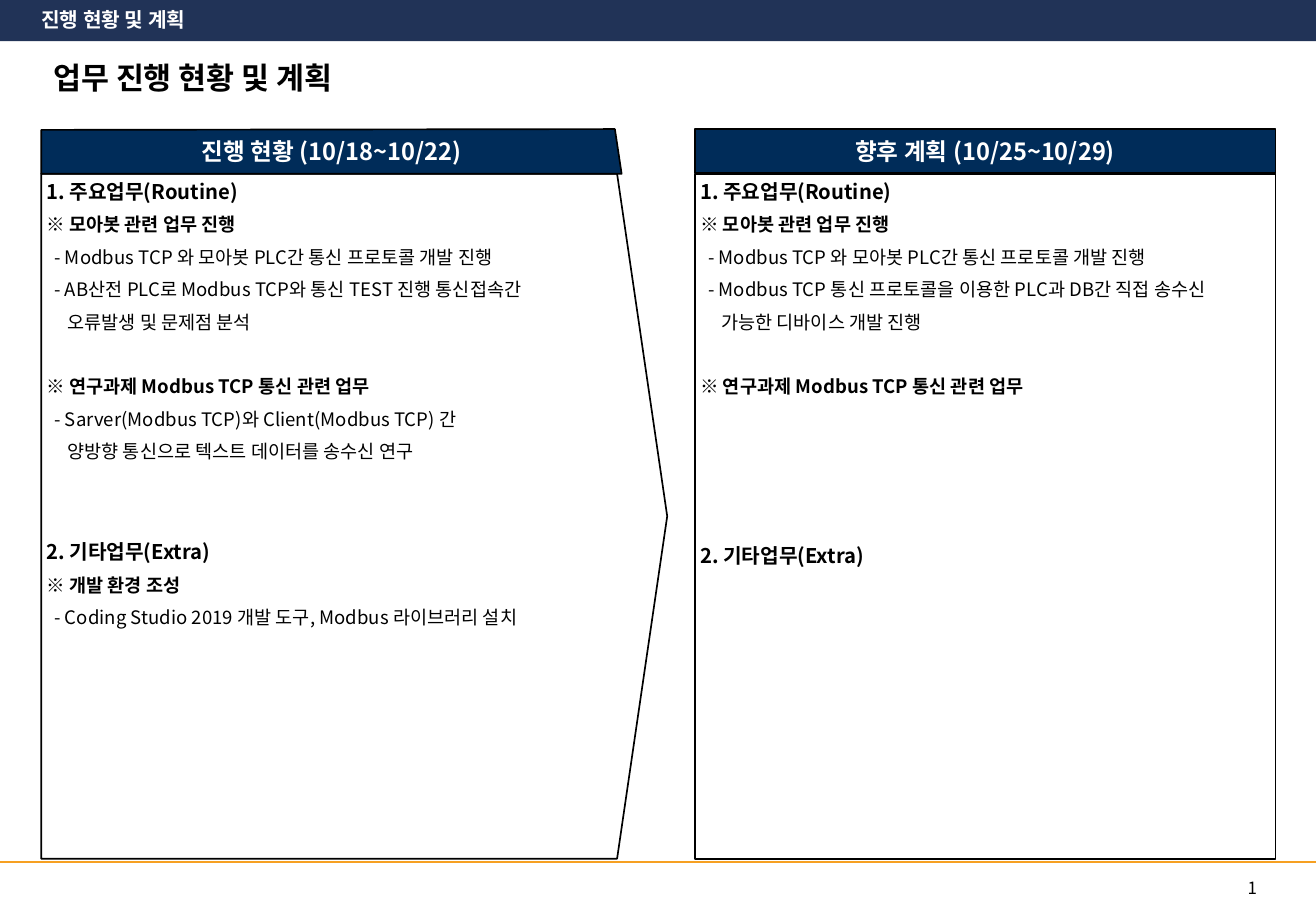
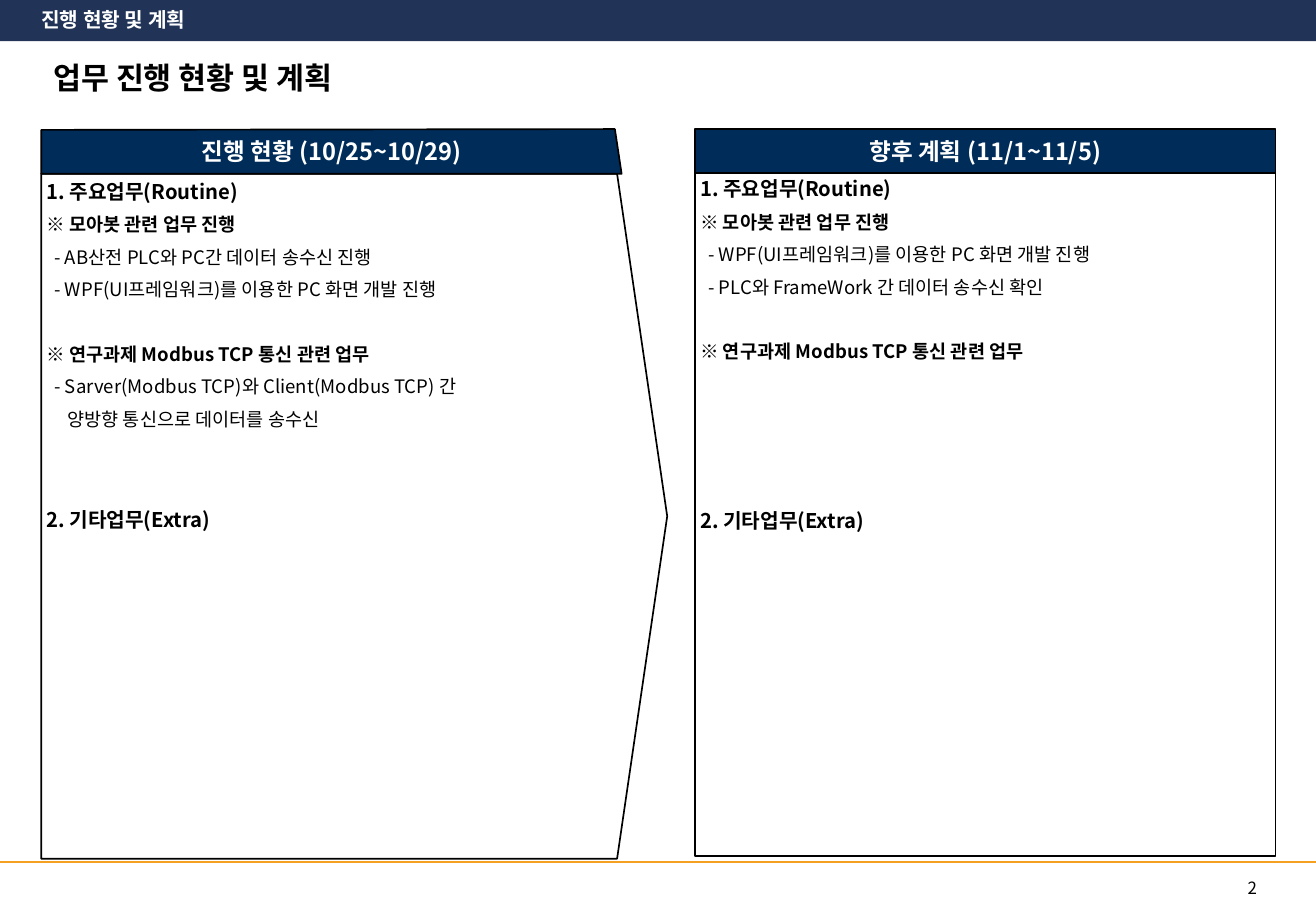
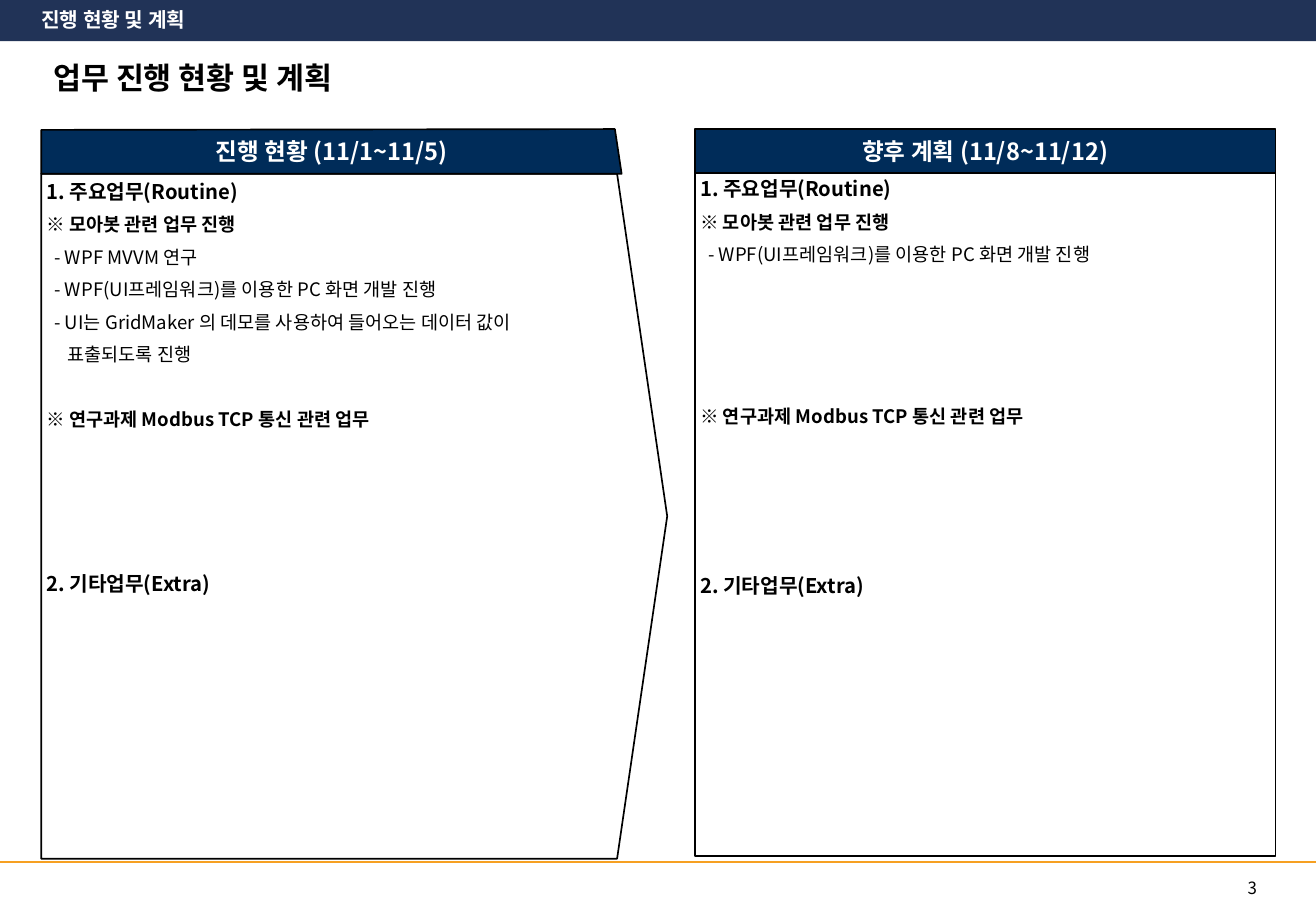
"""Weekly progress and plan slides: one page per week, done on the left, planned on the right."""
import dataclasses

import pptx
import pptx.dml.color
import pptx.enum.shapes
import pptx.enum.text
import pptx.oxml.ns
import pptx.util
from lxml import etree

Pt = pptx.util.Pt
SHAPE = pptx.enum.shapes.MSO_SHAPE
ALIGN = pptx.enum.text.PP_ALIGN
ANCHOR = pptx.enum.text.MSO_ANCHOR
qn = pptx.oxml.ns.qn


@dataclasses.dataclass(frozen=True)
class Theme:
    font: str = "Noto Sans CJK KR"
    band: str = "213357"
    header: str = "002C59"
    rule: str = "F6A022"
    black: str = "000000"
    white: str = "FFFFFF"
    title_size: int = 18
    header_size: int = 14
    section_size: int = 12
    item_size: int = 11
    page_size: int = 10
    line_factor: float = 1.2
    space_before: int = 6


T = Theme()
rgb = pptx.dml.color.RGBColor.from_string


def paint(sp, fill, line=None):
    sp.shadow.inherit = False
    sp.fill.solid()
    sp.fill.fore_color.rgb = rgb(fill)
    if line:
        sp.line.color.rgb = rgb(line)
        sp.line.width = Pt(1)
    else:
        sp.line.fill.background()


def write(sp, lines, color, align=ALIGN.LEFT, anchor=ANCHOR.TOP, inset=(3, 3, 3, 3)):
    tf = sp.text_frame
    tf.word_wrap = True
    tf.vertical_anchor = anchor
    tf.margin_left, tf.margin_top, tf.margin_right, tf.margin_bottom = map(Pt, inset)
    for i, (text, size, bold, indent, before) in enumerate(lines):
        p = tf.add_paragraph() if i else tf.paragraphs[0]
        p.text = text
        p.alignment = align
        p.line_spacing = Pt(size * T.line_factor)
        p.space_before = Pt(before)
        if indent:
            p._p.get_or_add_pPr().set("marL", str(Pt(indent)))
        for r in p.runs:
            r.font.size = Pt(size)
            r.font.bold = bold
            r.font.color.rgb = rgb(color)
            r.font.name = T.font
            etree.SubElement(r._r.get_or_add_rPr(), qn("a:ea"), typeface=T.font)


WIDTH, HEIGHT = 780, 540
LEFT, RIGHT, COLUMN = 24.5, 412, 344
HEADER_TOP, BODY_TOP, BODY_HEIGHT = 76.5, 103, 406
ROW = T.item_size * T.line_factor + T.space_before
TALL_ROW = T.section_size * T.line_factor + T.space_before

LEVELS = {
    "1": (T.section_size, True, 0),
    "2": (T.section_size, True, 0),
    "※": (T.item_size, True, 0),
    "-": (T.item_size, False, 4.75),
}
CONTINUED = (T.item_size, False, 12.5)

ROUTINE = "1. 주요업무(Routine)"
EXTRA = "2. 기타업무(Extra)"
ROBOT = "※ 모아봇 관련 업무 진행"
RESEARCH = "※ 연구과제 Modbus TCP 통신 관련 업무"
PROTOCOL = "- Modbus TCP 와 모아봇 PLC간 통신 프로토콜 개발 진행"
SCREEN = "- WPF(UI프레임워크)를 이용한 PC 화면 개발 진행"
SERVER = "- Sarver(Modbus TCP)와 Client(Modbus TCP) 간"

weeks = [
    {
        "done": "10/18~10/22",
        "plan": "10/25~10/29",
        "plan_top": BODY_TOP,
        "done_lines": [
            ROUTINE, ROBOT, PROTOCOL,
            "- AB산전 PLC로 Modbus TCP와 통신 TEST 진행 통신접속간",
            "오류발생 및 문제점 분석",
            RESEARCH, SERVER,
            "양방향 통신으로 텍스트 데이터를 송수신 연구",
            EXTRA,
            "※ 개발 환경 조성",
            "- Coding Studio 2019 개발 도구, Modbus 라이브러리 설치",
        ],
        "plan_lines": [
            ROUTINE, ROBOT, PROTOCOL,
            "- Modbus TCP 통신 프로토콜을 이용한 PLC과 DB간 직접 송수신",
            "가능한 디바이스 개발 진행",
            RESEARCH, EXTRA,
        ],
        "done_gaps": {RESEARCH: ROW, EXTRA: ROW + TALL_ROW},
        "plan_gaps": {RESEARCH: ROW, EXTRA: ROW + 3 * TALL_ROW},
    },
    {
        "done": "10/25~10/29",
        "plan": "11/1~11/5",
        "plan_top": BODY_TOP - 1.5,
        "done_lines": [
            ROUTINE, ROBOT,
            "- AB산전 PLC와 PC간 데이터 송수신 진행",
            SCREEN, RESEARCH, SERVER,
            "양방향 통신으로 데이터를 송수신",
            EXTRA,
        ],
        "plan_lines": [
            ROUTINE, ROBOT, SCREEN,
            "- PLC와 FrameWork 간 데이터 송수신 확인",
            RESEARCH, EXTRA,
        ],
        "done_gaps": {RESEARCH: ROW, EXTRA: ROW + TALL_ROW},
        "plan_gaps": {RESEARCH: ROW, EXTRA: ROW + 3 * TALL_ROW},
    },
    {
        "done": "11/1~11/5",
        "plan": "11/8~11/12",
        "plan_top": BODY_TOP - 1.5,
        "done_lines": [
            ROUTINE, ROBOT,
            "- WPF MVVM 연구",
            SCREEN,
            "- UI는 GridMaker 의 데모를 사용하여 들어오는 데이터 값이",
            "표출되도록 진행",
            RESEARCH, EXTRA,
        ],
        "plan_lines": [ROUTINE, ROBOT, SCREEN, RESEARCH, EXTRA],
        "done_gaps": {RESEARCH: ROW, EXTRA: 3 * ROW + TALL_ROW},
        "plan_gaps": {RESEARCH: 4 * ROW, EXTRA: ROW + 3 * TALL_ROW},
    },
]

prs = pptx.Presentation()
prs.slide_width, prs.slide_height = Pt(WIDTH), Pt(HEIGHT)

for number, week in enumerate(weeks, 1):
    s = prs.slides.add_slide(prs.slide_layouts[6])

    page = s.shapes.add_textbox(Pt(725), Pt(517), Pt(20), Pt(15))
    write(page, [(str(number), T.page_size, False, 0, 0)], T.black,
          ALIGN.RIGHT, ANCHOR.BOTTOM, (0, 3, 0, 0))

    band = s.shapes.add_shape(SHAPE.RECTANGLE, 0, 0, Pt(WIDTH), Pt(24.5))
    paint(band, T.band)

    rule = s.shapes.add_connector(pptx.enum.shapes.MSO_CONNECTOR.STRAIGHT,
                                  0, Pt(511), Pt(WIDTH), Pt(511))
    rule.line.color.rgb = rgb(T.rule)
    rule.line.width = Pt(1)
    etree.SubElement(rule._element.spPr, qn("a:effectLst"))

    title = s.shapes.add_textbox(Pt(LEFT), Pt(31.5), Pt(731.5), Pt(70.5))
    write(title, [("업무 진행 현황 및 계획", T.title_size, True, 0, 0)], T.black,
          inset=(7.2, 3.6, 7.2, 3.6))

    chapter = s.shapes.add_textbox(Pt(LEFT), Pt(4.5), Pt(98), Pt(14.5))
    write(chapter, [("진행 현황 및 계획", T.section_size, True, 0, 0)], T.white,
          inset=(0, 0, 0, 0))

    done_body = s.shapes.add_shape(SHAPE.PENTAGON, Pt(LEFT), Pt(BODY_TOP), Pt(371), Pt(BODY_HEIGHT))
    done_body.adjustments[0] = 0.08

    outline = s.shapes.build_freeform(Pt(LEFT), Pt(HEADER_TOP + 0.5))
    outline.add_line_segments([
        (Pt(LEFT), Pt(BODY_TOP)),
        (Pt(LEFT + COLUMN), Pt(BODY_TOP)),
        (Pt(LEFT + COLUMN - 4), Pt(HEADER_TOP)),
    ])
    done_header = outline.convert_to_shape()

    plan_body = s.shapes.add_shape(SHAPE.RECTANGLE, Pt(RIGHT), Pt(week["plan_top"]),
                                   Pt(COLUMN), Pt(BODY_HEIGHT))
    plan_header = s.shapes.add_shape(SHAPE.RECTANGLE, Pt(RIGHT), Pt(HEADER_TOP),
                                     Pt(COLUMN), Pt(26))

    for key, label, header, body in (("done", "진행 현황", done_header, done_body),
                                     ("plan", "향후 계획", plan_header, plan_body)):
        paint(header, T.header, T.black)
        write(header, [(f"{label} ({week[key]})", T.header_size, True, 0, 0)], T.white,
              ALIGN.CENTER, ANCHOR.MIDDLE)
        paint(body, T.white, T.black)
        gaps = week[key + "_gaps"]
        write(body, [(text, *LEVELS.get(text[0], CONTINUED), T.space_before + gaps.get(text, 0))
                     for text in week[key + "_lines"]], T.black)

prs.save("out.pptx")
